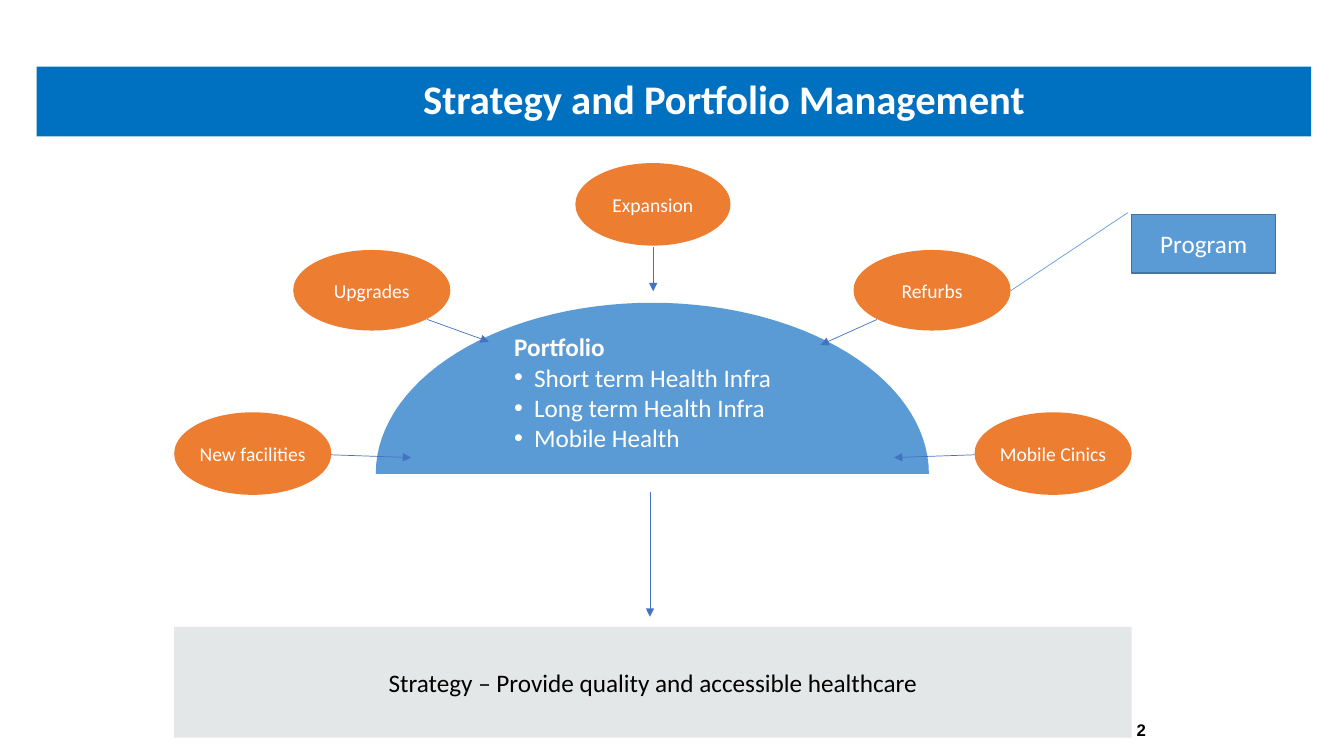
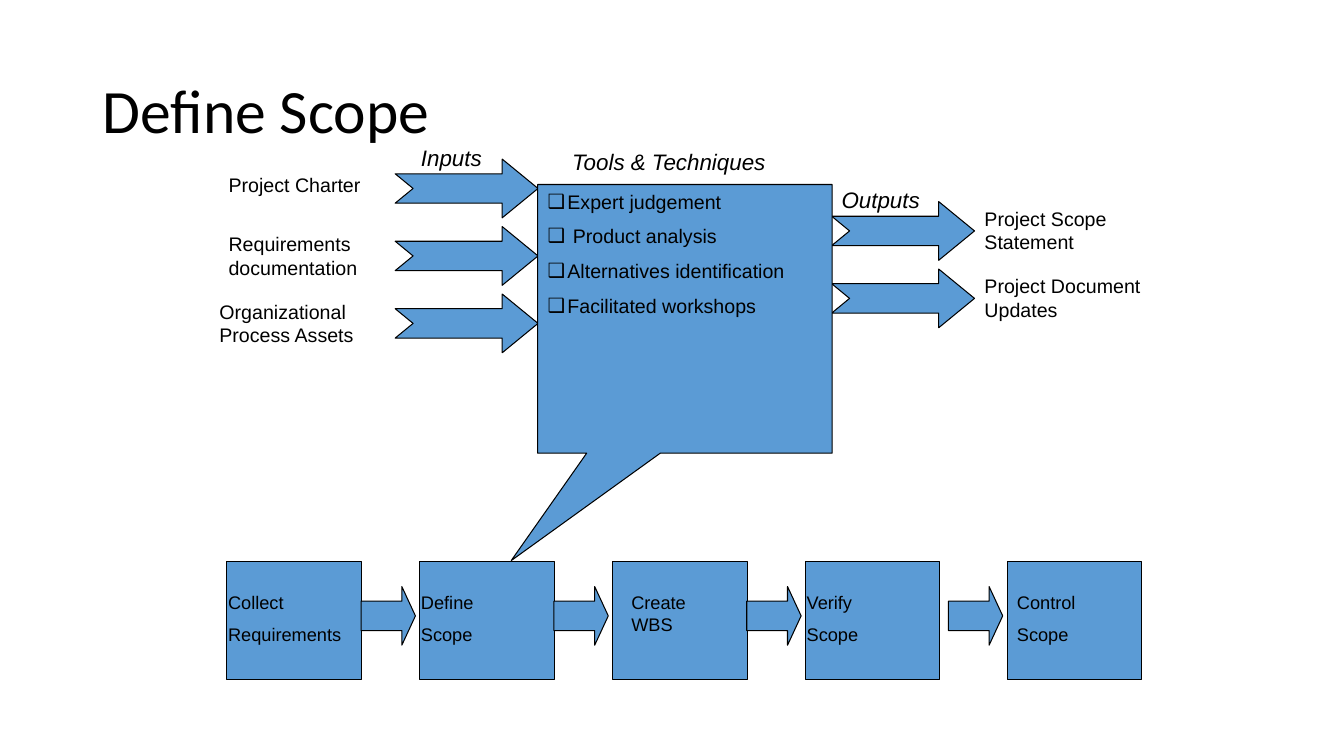
from math import cos, pi, sin

from lxml import etree
from pptx import Presentation
from pptx.dml.color import RGBColor
from pptx.enum.shapes import MSO_CONNECTOR, MSO_SHAPE
from pptx.enum.text import MSO_ANCHOR, MSO_AUTO_SIZE, PP_ALIGN
from pptx.oxml.ns import qn
from pptx.util import Cm, Pt

RECT, OVAL = MSO_SHAPE.RECTANGLE, MSO_SHAPE.OVAL
NOTCH, ARROW = MSO_SHAPE.NOTCHED_RIGHT_ARROW, MSO_SHAPE.RIGHT_ARROW
CALLOUT = MSO_SHAPE.RECTANGULAR_CALLOUT
STRAIGHT = MSO_CONNECTOR.STRAIGHT
LEFT, MID, RIGHT = PP_ALIGN.LEFT, PP_ALIGN.CENTER, PP_ALIGN.RIGHT
TOP, CENTER = MSO_ANCHOR.TOP, MSO_ANCHOR.MIDDLE
FIXED = MSO_AUTO_SIZE.NONE

BLACK, WHITE = RGBColor(0, 0, 0), RGBColor(255, 255, 255)
BAND = RGBColor(0x00, 0x70, 0xC0)
BLUE = RGBColor(0x5B, 0x9B, 0xD5)
EDGE = RGBColor(0x43, 0x73, 0x9E)
LINK = RGBColor(0x44, 0x72, 0xC4)
ORANGE = RGBColor(0xED, 0x7D, 0x31)
GREY = RGBColor(0xE4, 0xE7, 0xE7)
SANS, ARIAL = "Calibri", "Arial"

# Content, all lengths in cm
# Project type: box, then its arrow's start and end
TYPES = [
    ("Mobile Cinics", (24.56, 10.39, 3.96, 2.08), (24.56, 11.46, 22.53, 11.53)),
    ("New facilities", (4.39, 10.39, 3.96, 2.08), (8.33, 11.46, 10.36, 11.53)),
    ("Expansion", (14.5, 4.11, 3.91, 2.08), (16.46, 6.22, 16.46, 7.34)),
    ("Upgrades", (7.39, 6.3, 3.96, 2.03), (10.77, 8.05, 12.32, 8.61)),
    ("Refurbs", (21.51, 6.3, 3.96, 2.03), (22.1, 8.05, 20.68, 8.69)),
]
FOLIO = ["Portfolio", "Short term Health Infra", "Long term Health Infra",
         "Mobile Health"]
GOAL = "Strategy – Provide quality and accessible healthcare"
DOME = (16.44, 11.94, 6.97, 4.31)  # centre, base, half width, height

TOOLS = ["Expert judgement", " Product analysis",
         "Alternatives identification", "Facilitated workshops"]
HEADS = [("Inputs", (10.36, 3.51, 4.01, 0.94)),
         ("Tools & Techniques", (14.17, 3.61, 6.78, 0.94)),
         ("Outputs", (20.96, 4.57, 4.01, 0.94))]
LABELS = [("Project Charter", (5.51, 4.24, 4.88, 0.84)),
          ("Requirements documentation", (5.51, 5.72, 4.88, 1.45)),
          ("Organizational Process Assets", (5.28, 7.42, 4.88, 1.45)),
          ("Project Scope Statement", (24.56, 5.08, 5.08, 1.45)),
          ("Project Document Updates", (24.56, 6.78, 5.08, 1.45))]
FLOWS = [(9.96, 4.01, 3), (20.96, 5.08, 2)]  # left, top, count
# Step: lines, shift of box, shift of text, width of text
STEPS = [(["Collect", "Requirements"], 0, -0.22, 3.6),
         (["Define", "Scope"], 0, -0.22, 3.6),
         (["Create WBS"], 0, 0.22, 2.9),
         (["Verify", "Scope"], 0, -0.22, 3.6),
         (["Control", "Scope"], 0.22, 0, 3.39)]


def cms(nums):
    return [Cm(n) for n in nums]


def write(shape, lines, size=14, font=SANS, color=BLACK, bold=False,
          slant=False, align=LEFT, anchor=TOP, wrap=True, pad=0.25,
          high=0.13, gap=0, space=None, mark=None, first=0):
    """Fill a shape with paragraphs; bullets begin at line `first`."""
    frame = shape.text_frame
    frame.auto_size, frame.word_wrap = FIXED, wrap
    frame.vertical_anchor = anchor
    frame.margin_left = frame.margin_right = Cm(pad)
    frame.margin_top = frame.margin_bottom = Cm(high)
    for i, line in enumerate(lines):
        para = frame.paragraphs[0] if i == 0 else frame.add_paragraph()
        para.alignment = align
        para.space_before = Pt(gap if i else 0)
        if space:
            para.line_spacing = space
        run = para.add_run()
        run.text = line
        face = run.font
        face.name, face.size = font, Pt(size)
        face.bold, face.italic = bold, slant
        face.color.rgb = color
        if mark and i >= first:
            props = para._p.get_or_add_pPr()
            props.set("marL", str(Cm(0.5)))
            props.set("indent", str(-Cm(0.5)))
            etree.SubElement(props, qn("a:buFont")).set("typeface", ARIAL)
            etree.SubElement(props, qn("a:buChar")).set("char", mark)
    return frame


def paint(shape, fill, line=None, width=0.75):
    shape.shadow.inherit = False
    shape.fill.solid()
    shape.fill.fore_color.rgb = fill
    if line is None:
        shape.line.fill.background()
    else:
        shape.line.color.rgb = line
        shape.line.width = Pt(width)


def block(slide, kind, box, fill, line=None, width=0.75, adj=()):
    shape = slide.shapes.add_shape(kind, *cms(box))
    paint(shape, fill, line, width)
    for i, value in enumerate(adj):
        shape.adjustments[i] = value
    return shape


def label(slide, box, lines, **style):
    return write(slide.shapes.add_textbox(*cms(box)), lines, **style)


def link(slide, ends, color=LINK, tip=True):
    line = slide.shapes.add_connector(STRAIGHT, *cms(ends))
    line.line.color.rgb = color
    line.line.width = Pt(0.5)
    if tip:
        tail = etree.SubElement(line.line._get_or_add_ln(), qn("a:tailEnd"))
        tail.set("type", "triangle")
    etree.SubElement(line._element.spPr, qn("a:effectLst"))


def start(deck, title, box, **style):
    """Add a slide with its title placed and styled."""
    slide = deck.slides.add_slide(deck.slide_layouts[5])
    head = slide.shapes.title
    head.left, head.top, head.width, head.height = cms(box)
    write(head, [title], anchor=CENTER, space=0.9, **style)
    return slide


def plan(deck):
    slide = start(deck, "Strategy and Portfolio Management",
                  (0.92, 1.68, 32.12, 1.76), size=29, color=WHITE,
                  bold=True, align=MID)
    head = slide.shapes.title
    head.fill.solid()
    head.fill.fore_color.rgb = BAND
    head.text_frame.margin_left = Cm(2.8)
    label(slide, (23.8, 18.06, 5.33, 0.76), ["2"], size=12, font=ARIAL,
          bold=True, align=RIGHT, anchor=CENTER, space=0.8)

    # Portfolio dome
    mid, base, half, tall = DOME
    arc = [(Cm(mid - half * cos(pi * i / 60)),
            Cm(base - tall * sin(pi * i / 60))) for i in range(61)]
    pen = slide.shapes.build_freeform(*arc[0])
    pen.add_line_segments(arc[1:], close=True)
    paint(pen.convert_to_shape(), BLUE)
    tight = dict(pad=0.13, wrap=False)
    text = label(slide, (12.83, 8.23, 7.85, 3.99), FOLIO, size=18,
                 color=WHITE, mark="•", first=1, pad=0.13)
    text.paragraphs[0].runs[0].font.bold = True

    # Project types and their arrows
    for name, box, ends in TYPES:
        write(block(slide, OVAL, box, ORANGE), [name], color=WHITE,
              align=MID, anchor=CENTER, **tight)
        link(slide, ends)

    # Strategy and program
    goal = block(slide, RECT, (4.39, 15.8, 24.13, 2.79), GREY)
    write(goal, [GOAL], size=18, align=MID, anchor=CENTER, **tight)
    link(slide, (16.38, 12.4, 16.38, 15.54))
    link(slide, (25.48, 7.32, 28.42, 5.36), color=BLUE, tip=False)
    program = block(slide, RECT, (28.52, 5.41, 3.63, 1.47), BLUE, EDGE, 1)
    write(program, ["Program"], size=18, color=WHITE, align=MID,
          anchor=CENTER)


def scope(deck):
    slide = start(deck, "Define Scope", (2.33, 1.02, 29.21, 3.68), size=44)

    # Flows in and out of the tools
    for left, top, count in FLOWS:
        for i in range(count):
            block(slide, NOTCH, (left, top + 1.7 * i, 3.6, 1.48), BLUE,
                  BLACK, adj=(0.5, 0.61))
    block(slide, CALLOUT, (13.55, 4.65, 7.42, 6.77), BLUE, BLACK,
          adj=(-0.59, 0.9))
    label(slide, (13.55, 4.65, 7.42, 4.45), TOOLS, font=ARIAL, gap=8,
          mark="❑")
    for name, box in HEADS:
        label(slide, box, [name], size=16, font=ARIAL, slant=True)
    for name, box in LABELS:
        label(slide, box, [name], font=ARIAL)

    # Process steps
    for i, (lines, shift, inset, width) in enumerate(STEPS):
        left = 5.72 + 4.86 * i + shift
        block(slide, RECT, (left, 14.15, 3.39, 2.97), BLUE, BLACK)
        if i:
            block(slide, ARROW, (left - 1.48, 14.78, 1.37, 1.48), BLUE,
                  BLACK, adj=(0.5, 0.25))
        label(slide, (left + inset, 14.78, width, 1.65), lines, size=13,
              font=ARIAL, gap=7)


def main():
    deck = Presentation()
    deck.slide_width, deck.slide_height = Cm(33.87), Cm(19.05)
    plan(deck)
    scope(deck)
    deck.save("out.pptx")


if __name__ == "__main__":
    main()
